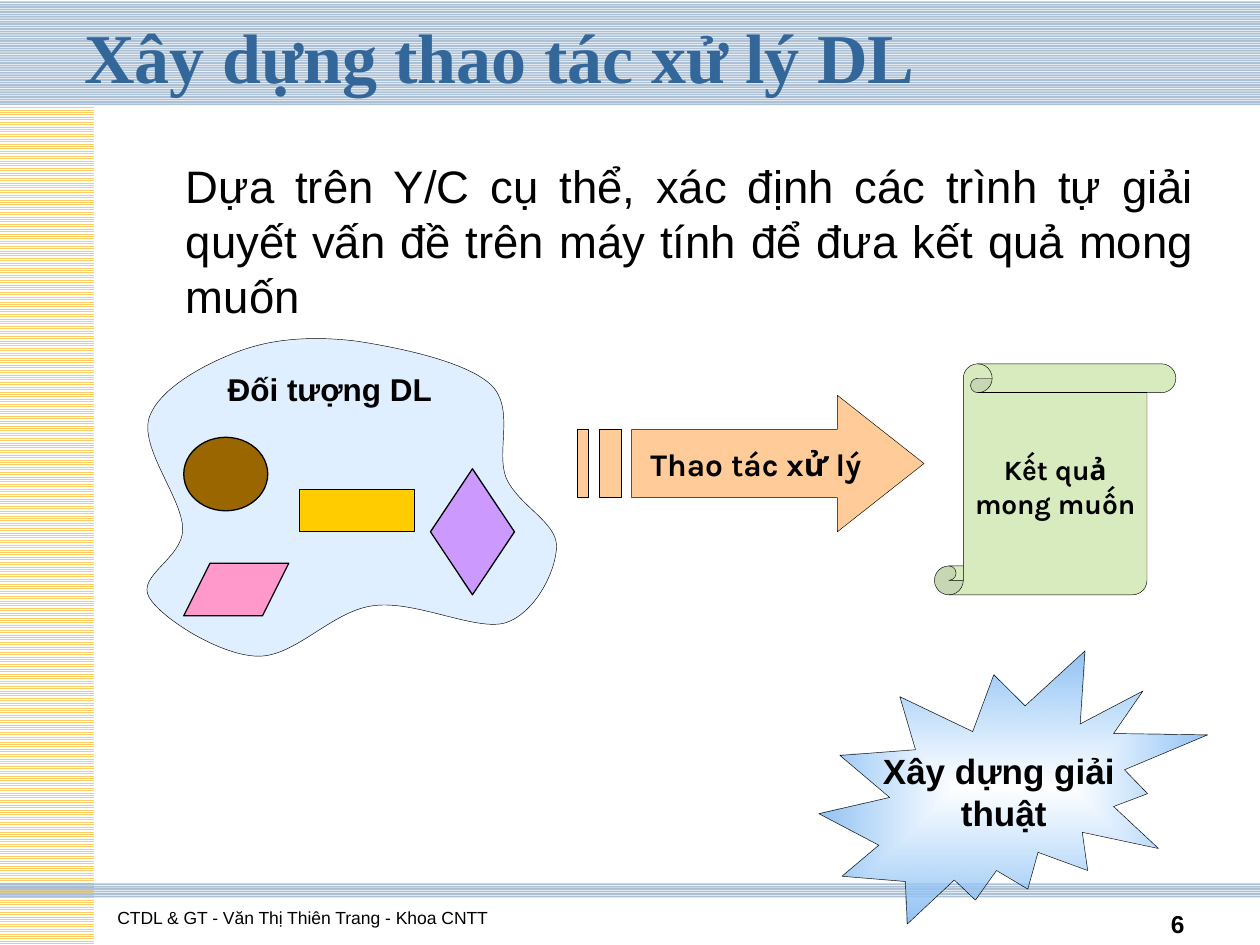
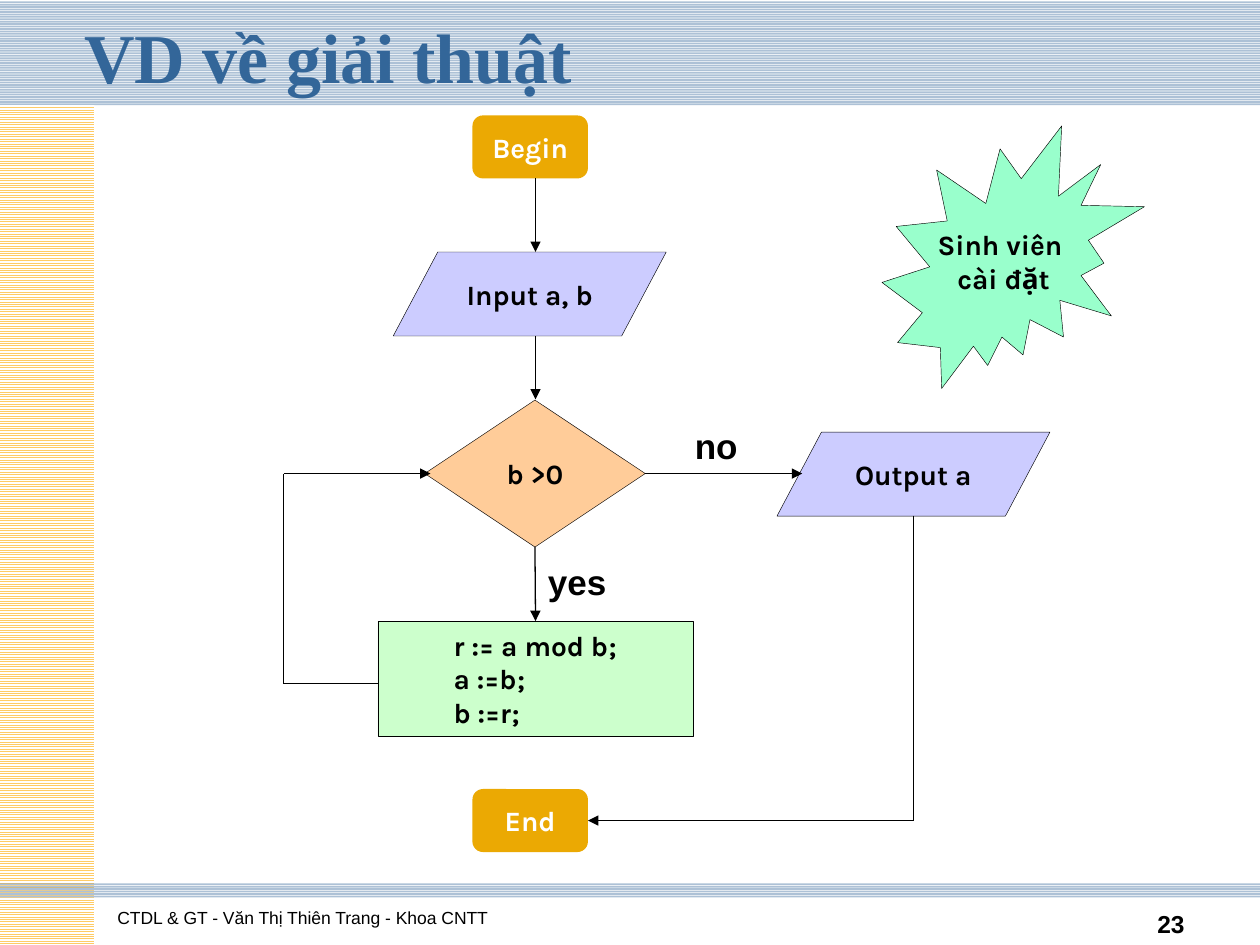
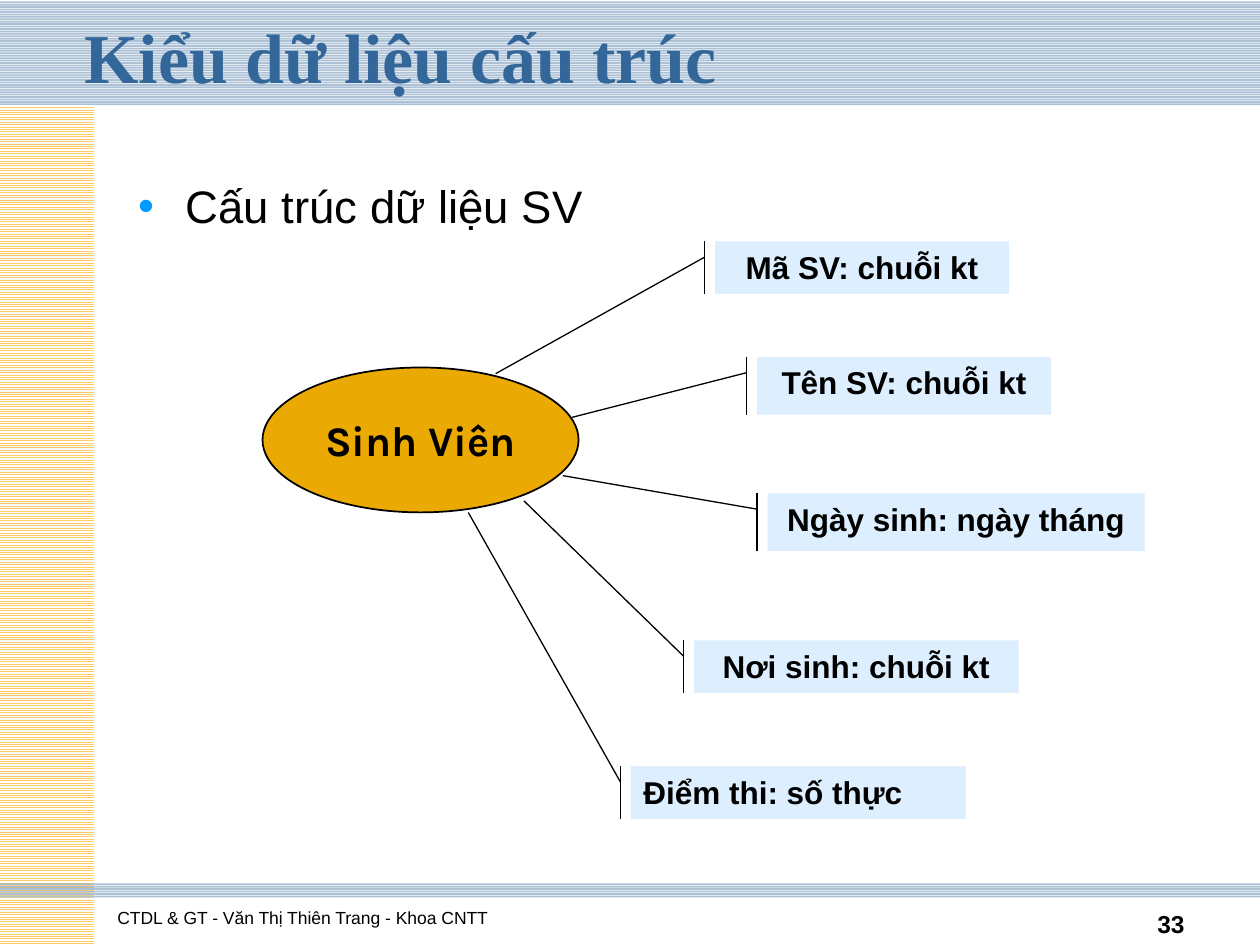
from dataclasses import dataclass

from lxml import etree
from pptx import Presentation
from pptx import util as u
from pptx.dml.color import RGBColor
from pptx.enum import dml, shapes, text
from pptx.oxml import parse_xml
from pptx.oxml.ns import nsdecls, qn

COLUMNS, ROWS = 120, 90
CELL = u.Inches(10) // COLUMNS
SHAPE = shapes.MSO_SHAPE
LEFT, CENTER, RIGHT = text.PP_ALIGN.LEFT, text.PP_ALIGN.CENTER, text.PP_ALIGN.RIGHT
TOP, MIDDLE, BOTTOM = text.MSO_ANCHOR.TOP, text.MSO_ANCHOR.MIDDLE, text.MSO_ANCHOR.BOTTOM


@dataclass(frozen=True)
class Theme:
    ink: str = "000000"
    paper: str = "FFFFFF"
    blue: str = "336699"
    sand: str = "FFCC66"
    bullet: str = "0099FF"
    sky: str = "99CCFF"
    sky_edge: str = "91C2F2"
    gold: str = "EBA903"
    brown: str = "996600"
    yellow: str = "FFCC00"
    pink: str = "FF99CC"
    violet: str = "CC99FF"
    peach: str = "FFCC99"
    leaf: str = "B1D87E"
    lilac: str = "CCCCFF"
    green: str = "CCFFCC"
    mint: str = "99FFCC"
    serif: str = "Times New Roman"
    sans: str = "Arial"
    label: str = "Karla"
    title_size: float = 40
    body_size: float = 26
    hub_size: float = 24
    large: float = 20
    medium: float = 18
    small: float = 16
    number_size: float = 14
    footer_size: float = 10
    hairline: float = 0.25
    thin: float = 0.75


THEME = Theme()
FOOTER = "CTDL & GT - Văn Thị Thiên Trang - Khoa CNTT"
BLOB_BOX = (13, 32, 40, 30.6)
BLOB_START = (22.9, 33.4)
BLOB_CURVES = [
    ((19.6, 34.6), (15.1, 37), (14.2, 39.8)),
    ((13.3, 42.7), (17.4, 47.5), (17.4, 50.4)),
    ((17.4, 53.2), (13, 54.8), (14.2, 56.9)),
    ((15.4, 58.9), (20.9, 62.4), (24.5, 62.5)),
    ((28.1, 62.6), (31.6, 58.2), (35.5, 57.7)),
    ((39.5, 57.1), (45.4, 60.2), (48.2, 59.3)),
    ((51.1, 58.3), (53, 54.2), (53, 52)),
    ((53, 49.7), (49.3, 48.1), (48.2, 45.5)),
    ((47.2, 43), (49.1, 38.8), (46.7, 36.6)),
    ((44.3, 34.4), (37.9, 33.1), (34, 32.5)),
    ((30, 32), (26.2, 32.2), BLOB_START),
]


def cells(*lengths):
    return [round(length * CELL) for length in lengths]


def rgb(color):
    return RGBColor.from_string(color)


def write(shape, words, size, font=THEME.sans, color=THEME.ink, bold=True,
          align=CENTER, anchor=MIDDLE, wrap=False):
    frame = shape.text_frame
    frame.text = words
    frame.word_wrap = wrap
    frame.auto_size = text.MSO_AUTO_SIZE.NONE
    frame.vertical_anchor = anchor
    for para in frame.paragraphs:
        para.alignment = align
        for span in para.runs:
            span.font.name = font
            span.font.size = u.Pt(size)
            span.font.bold = bold
            span.font.color.rgb = rgb(color)
    return shape


def fade(tint, opacity):
    etree.SubElement(tint, qn("a:alpha"), val=str(opacity * 1000))


def paint(shape, fill, line=THEME.hairline, opacity=100):
    shape.shadow.inherit = False
    shape.fill.solid()
    shape.fill.fore_color.rgb = rgb(fill)
    if opacity < 100:
        fade(shape.element.spPr.find(qn("a:solidFill"))[0], opacity)
    if line:
        shape.line.color.rgb = rgb(THEME.ink)
        shape.line.width = u.Pt(line)
    else:
        shape.line.fill.background()
    return shape


def add_figure(page, kind, area, fill, line=THEME.hairline, opacity=100):
    return paint(page.shapes.add_shape(kind, *cells(*area)), fill, line, opacity)


def add_words(page, area, words, size, **style):
    box = page.shapes.add_textbox(*cells(*area))
    return write(box, words, size, **style)


def add_body(page, area, words, bulleted=False):
    box = add_words(page, area, words, THEME.body_size, bold=False,
                    align=text.PP_ALIGN.JUSTIFY, anchor=TOP, wrap=True)
    para = box.text_frame.paragraphs[0]
    para.space_before = u.Pt(4)
    indent = 4.5 * CELL
    if not bulleted:
        box.text_frame.margin_left = round(u.Inches(0.1) + indent)
        return
    props = para._p.get_or_add_pPr()
    props.set("marL", str(round(indent)))
    props.set("indent", str(round(-indent)))
    tint = etree.SubElement(props, qn("a:buClr"))
    etree.SubElement(tint, qn("a:srgbClr"), val=THEME.bullet)
    etree.SubElement(props, qn("a:buFont"), typeface=THEME.sans)
    etree.SubElement(props, qn("a:buChar"), char="•")


def add_outline(page, contours, fill, opacity=100):
    outlines = [[cells(*point) for point in contour] for contour in contours]
    builder = page.shapes.build_freeform(*outlines[0][0])
    for index, (start, *rest) in enumerate(outlines):
        if index:
            builder.move_to(*start)
        builder.add_line_segments(rest, close=True)
    return paint(builder.convert_to_shape(), fill, opacity=opacity)


def add_blob(page, box, start, curves):
    left, top, width, height = box
    right, bottom = left + width, top + height
    corners = [(left, top), (right, top), (right, bottom), (left, bottom)]
    blob = add_outline(page, [corners], THEME.sky, 31)
    outline = next(blob.element.iter(qn("a:path")))
    for child in list(outline):
        outline.remove(child)
    for tag, points in [("a:moveTo", [start])] + [("a:cubicBezTo", c) for c in curves]:
        segment = etree.SubElement(outline, qn(tag))
        for column, row in points:
            x, y = cells(column - left, row - top)
            etree.SubElement(segment, qn("a:pt"), x=str(x), y=str(y))
    etree.SubElement(outline, qn("a:close"))


def add_striped_arrow(page, left, top, width, height):
    def place(contour):
        return [(left + x * width, top + y * height) for x, y in contour]

    def stripe(start, end):
        return [(start, 0.25), (start, 0.75), (end, 0.75), (end, 0.25)]

    head = [(0.75, 0), (0.75, 0.25), (5 / 32, 0.25), (5 / 32, 0.75),
            (0.75, 0.75), (0.75, 1), (1, 0.5)]
    contours = [head, stripe(2 / 32, 4 / 32), stripe(0, 1 / 32)]
    return add_outline(page, [place(contour) for contour in contours], THEME.peach)


def glow_from_center(shape):
    props = shape.element.spPr
    glow = parse_xml(
        f'<a:gradFill {nsdecls("a")} rotWithShape="1"><a:gsLst>'
        f'<a:gs pos="0"><a:srgbClr val="{THEME.sky}"><a:alpha val="0"/></a:srgbClr></a:gs>'
        f'<a:gs pos="100000"><a:srgbClr val="{THEME.sky_edge}"/></a:gs></a:gsLst>'
        '<a:path path="shape"><a:fillToRect l="50000" t="50000" r="50000" b="50000"/>'
        '</a:path></a:gradFill>')
    props.replace(props.find(qn("a:solidFill")), glow)


def add_link(page, start, end, arrow=True, begin=None, finish=None):
    link = page.shapes.add_connector(
        shapes.MSO_CONNECTOR.STRAIGHT, *cells(*start, *end))
    if begin:
        link.begin_connect(*begin)
    if finish:
        link.end_connect(*finish)
    link.line.color.rgb = rgb(THEME.ink)
    link.line.width = u.Pt(THEME.thin)
    props = link.element.spPr
    if arrow:
        etree.SubElement(props.find(qn("a:ln")), qn("a:tailEnd"), type="triangle")
    etree.SubElement(props, qn("a:effectLst"))


def add_field(page, area, words, tip, align=CENTER):
    left, top, width, height = area
    field = add_figure(page, SHAPE.LINE_CALLOUT_1_ACCENT_BAR, area,
                       THEME.sky, THEME.thin, 33)
    ends = [1.5 / height, -1 / width, (tip[1] - top) / height, (tip[0] - left) / width]
    for index, value in enumerate(ends):
        field.adjustments[index] = value
    write(field, words, THEME.medium, align=align, anchor=TOP, wrap=True)


def add_bands(deck, page):
    bands = [((0, 0, COLUMNS + 0.1, 10), THEME.blue, 40),
             ((0, 10, 9, ROWS - 10), THEME.sand, 100),
             ((-0.1, 84, COLUMNS + 0.1, 1.6), THEME.blue, 40)]
    tree = deck.slide_master.shapes.element
    for index, (area, color, opacity) in enumerate(bands):
        band = add_figure(page, SHAPE.RECTANGLE, area, color, line=0)
        band.fill.patterned()
        band.fill.pattern = dml.MSO_PATTERN.LIGHT_HORIZONTAL
        band.fill.fore_color.rgb = rgb(color)
        band.fill.back_color.rgb = rgb(THEME.paper)
        if opacity < 100:
            for side in band.element.spPr.find(qn("a:pattFill")):
                fade(side[0], opacity)
        band.element.nvSpPr.cNvPr.set("id", str(101 + index))
        tree.insert(2 + index, band.element)


def add_page(deck, title, number):
    page = deck.slides.add_slide(deck.slide_layouts.get_by_name("Title Only"))
    heading = page.shapes.title
    heading.left, heading.top, heading.width, heading.height = cells(6.85, 0.7, 108, 10.3)
    write(heading, title, THEME.title_size, font=THEME.serif, color=THEME.blue,
          align=LEFT, anchor=TOP, wrap=True)
    add_words(page, (10, 83, 73, 6), FOOTER, THEME.footer_size, bold=False,
              align=LEFT, anchor=BOTTOM, wrap=True)
    add_words(page, (86, 83.95, 28, 6), number, THEME.number_size,
              align=RIGHT, anchor=BOTTOM, wrap=True)
    return page


def fill_processing(page):
    add_body(page, (12, 14.5, 103, 68.4),
             "Dựa trên Y/C cụ thể, xác định các trình tự giải quyết vấn đề "
             "trên máy tính để đưa kết quả mong muốn")
    add_blob(page, BLOB_BOX, BLOB_START, BLOB_CURVES)
    objects = [(SHAPE.OVAL, (17.5, 41.65, 8, 7), THEME.brown),
               (SHAPE.RECTANGLE, (28.5, 46.65, 11, 4), THEME.yellow),
               (SHAPE.PARALLELOGRAM, (17.5, 53.65, 10, 5), THEME.pink),
               (SHAPE.DIAMOND, (41, 44.65, 8, 12), THEME.violet)]
    for kind, area, color in objects:
        figure = add_figure(page, kind, area, color, THEME.thin)
        if kind == SHAPE.PARALLELOGRAM:
            figure.adjustments[0] = 0.5
    add_words(page, (20.5, 34.65, 21.8, 4.8), "Đối tượng DL", THEME.medium,
              align=LEFT, anchor=TOP)
    arrow = write(add_striped_arrow(page, 55, 37.65, 33, 13), "Thao tác xử lý",
                  THEME.medium, font=THEME.label)
    arrow.text_frame.margin_left = u.Inches(0.18)
    scroll = add_figure(page, SHAPE.VERTICAL_SCROLL, (89, 34.65, 23, 22),
                        THEME.leaf, opacity=49)
    write(scroll, "Kết quả\nmong muốn", THEME.small, font=THEME.label)
    burst = add_figure(page, SHAPE.EXPLOSION2, (78, 62, 37, 26), THEME.sky)
    glow_from_center(burst)
    write(burst, "Xây dựng giải\n thuật", THEME.large)


def add_step(page, kind, area, words, fill, line=THEME.hairline, color=THEME.ink):
    step = add_figure(page, kind, area, fill, line)
    if kind == SHAPE.PARALLELOGRAM:
        step.adjustments[0] = 0.53
    return write(step, words, THEME.small, font=THEME.label, color=color)


def fill_flowchart(page):
    axis, loop, exit_axis, test_row = 51, 27, 87, 45.1
    add_step(page, SHAPE.PARALLELOGRAM, (37.45, 24, 26, 8), "Input a, b", THEME.lilac)
    test = add_step(page, SHAPE.DIAMOND, (40.45, 38.1, 21, 14), "b >0", THEME.peach)
    work = add_figure(page, SHAPE.RECTANGLE, (36, 59.15, 30, 11), THEME.green)
    write(work, "r := a mod b;\na :=b;\nb :=r;", THEME.small, font=THEME.label,
          align=LEFT, wrap=True)
    work.text_frame.margin_left = u.Inches(0.6)
    add_step(page, SHAPE.PARALLELOGRAM, (74, 41.15, 26, 8), "Output a", THEME.lilac)
    begin, end = [
        add_step(page, SHAPE.ROUNDED_RECTANGLE, (45, row, 11, 6), words,
                 THEME.gold, 0, THEME.paper)
        for row, words in ((11, "Begin"), (75.15, "End"))]
    add_link(page, (axis, 17), (axis, 24))
    add_link(page, (axis, 32), (axis, 38.05))
    add_link(page, (axis, 52.1), (axis, 59.15), begin=(test, 2), finish=(work, 0))
    add_link(page, (61.45, test_row), (76.4, test_row), begin=(test, 3))
    add_link(page, (36, 65.1), (loop, 65.1), arrow=False)
    add_link(page, (loop, 65.1), (loop, test_row), arrow=False)
    add_link(page, (loop, test_row), (41, test_row))
    add_link(page, (exit_axis, 49.1), (exit_axis, 78.15), arrow=False)
    add_link(page, (exit_axis, 78.15), (56, 78.15), finish=(end, 3))
    for area, words in (((51, 52.8, 7.9, 5.2), "yes"), ((65, 39.8, 6.5, 5.2), "no")):
        add_words(page, area, words, THEME.large, align=LEFT, anchor=TOP)
    add_step(page, SHAPE.EXPLOSION2, (84, 12, 25, 25), "Sinh viên \ncài đặt", THEME.mint)


def fill_structure(page):
    add_body(page, (12, 16.4, 103, 63.1), "Cấu trúc dữ liệu SV", bulleted=True)
    fields = [((68.1, 23, 28, 5), "Mã SV: chuỗi kt", (47.2, 35.6), CENTER),
              ((72.1, 34, 28, 5.5), "Tên SV: chuỗi kt", (54.5, 39.75), CENTER),
              ((73.1, 47, 35.9, 5.5), "Ngày sinh: ngày tháng", (53.6, 45.3), CENTER),
              ((66.1, 61, 30.9, 5), "Nơi sinh: chuỗi kt", (49.9, 47.7), CENTER),
              ((60.1, 73, 31.9, 5), "Điểm thi: số thực", (44.6, 48.8), LEFT)]
    for area, words, tip, align in fields:
        add_field(page, area, words, tip, align)
    hub = add_figure(page, SHAPE.OVAL, (25, 35, 30.1, 13.8), THEME.gold, 1)
    write(hub, "Sinh Viên", THEME.hub_size, font=THEME.label)


def main():
    deck = Presentation()
    deck.slide_width, deck.slide_height = cells(COLUMNS, ROWS)
    contents = [("Xây dựng thao tác xử lý DL", "6", fill_processing),
                ("VD về giải thuật", "23", fill_flowchart),
                ("Kiểu dữ liệu cấu trúc", "33", fill_structure)]
    for title, number, fill in contents:
        fill(add_page(deck, title, number))
    add_bands(deck, deck.slides[0])
    deck.save("out.pptx")


if __name__ == "__main__":
    main()
